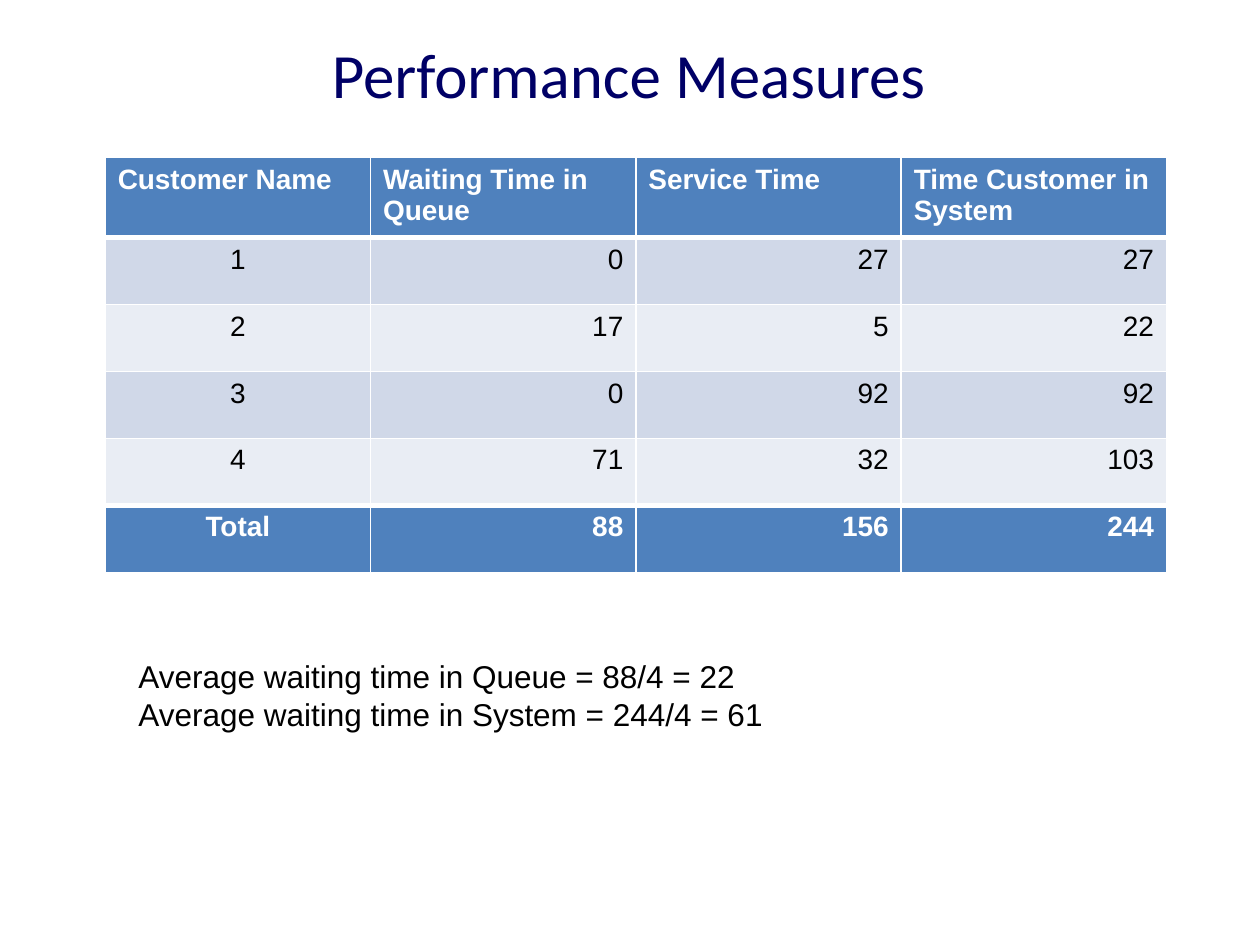
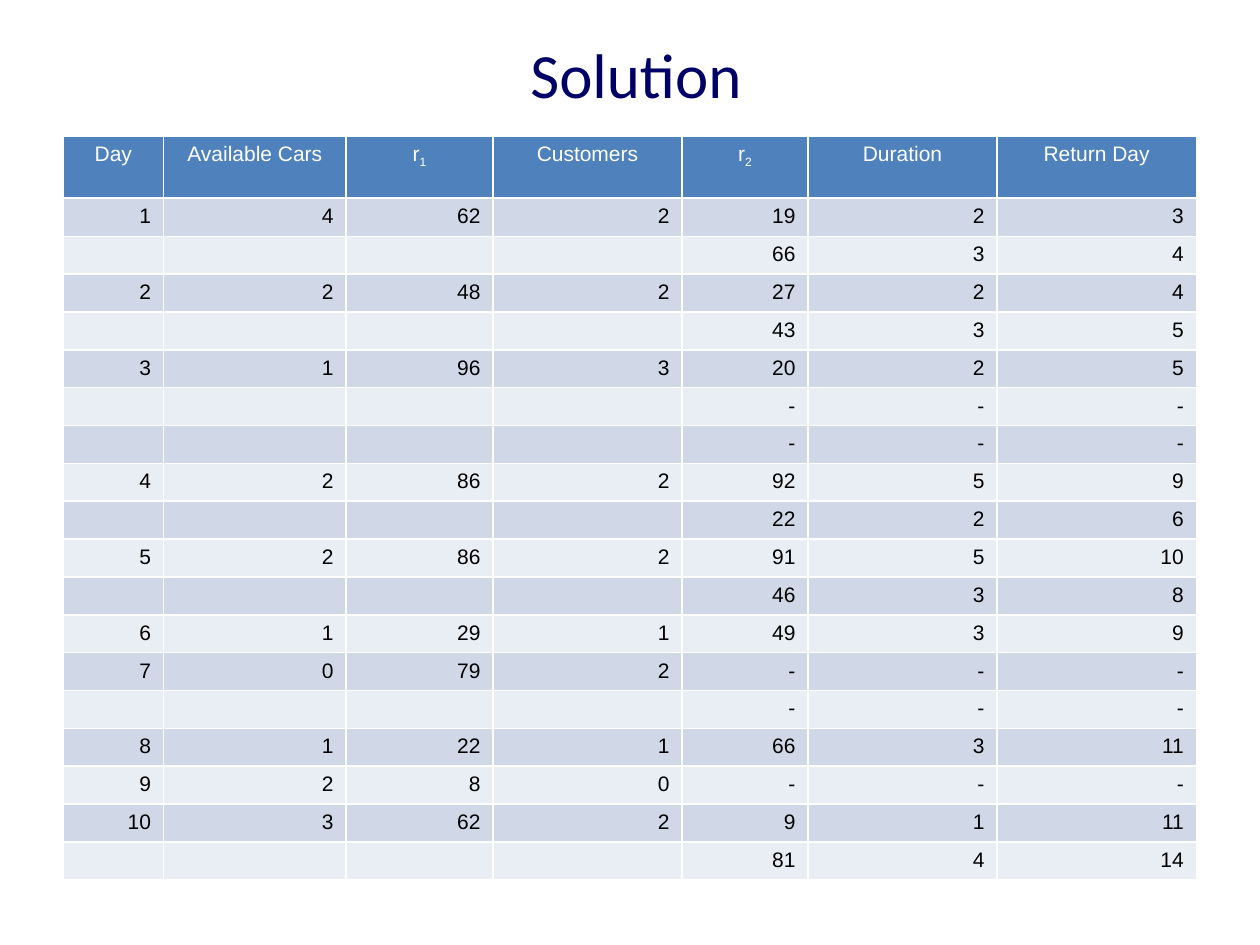
"""Build two slides of simulation results: queue performance and car rental."""
from lxml import etree
from pptx import Presentation
from pptx.dml.color import RGBColor
from pptx.enum.text import MSO_ANCHOR, MSO_AUTO_SIZE, PP_ALIGN
from pptx.oxml.ns import qn
from pptx.util import Cm, Pt

LEFT, CENTER, RIGHT = PP_ALIGN.LEFT, PP_ALIGN.CENTER, PP_ALIGN.RIGHT
MIDDLE = MSO_ANCHOR.MIDDLE
GROW = MSO_AUTO_SIZE.SHAPE_TO_FIT_TEXT


class Theme:
    """Colours, fonts, line widths and type sizes."""
    navy, black, white = "000066", "000000", "FFFFFF"
    blue, bands = "4F81BD", ("D0D8E8", "E9EDF4")
    thin, thick = Pt(1), Pt(3)
    title = {"size": Pt(36), "name": "Calibri", "color": navy}
    note = {"size": Pt(18), "name": "Arial", "color": black}
    cell = {"size": Pt(16), "name": "Arial", "color": black}
    strong = {**cell, "bold": True, "color": white}
    small = {**cell, "size": Pt(12)}
    small_head = {**small, "color": white}


QUEUE_TITLE = "Performance Measures "
QUEUE_HEAD = ["Customer Name", "Waiting Time in Queue", "Service Time",
              "Time Customer in System"]
QUEUE_ROWS = [
    (1, 0, 27, 27),
    (2, 17, 5, 22),
    (3, 0, 92, 92),
    (4, 71, 32, 103),
]
QUEUE_TOTAL = ("Total", 88, 156, 244)
QUEUE_NOTES = ["Average waiting time in Queue = 88/4 = 22",
               "Average waiting time in System = 244/4 = 61"]

CARS_TITLE = "Solution"
CARS_HEAD = ["Day", "Available Cars", ("r", "1"), "Customers", ("r", "2"),
             "Duration", "Return Day"]
NO_CAR = ("-", "-", "-")
CARS_DAYS = [
    ((1, 4, 62, 2), [(19, 2, 3), (66, 3, 4)]),
    ((2, 2, 48, 2), [(27, 2, 4), (43, 3, 5)]),
    ((3, 1, 96, 3), [(20, 2, 5), NO_CAR, NO_CAR]),
    ((4, 2, 86, 2), [(92, 5, 9), (22, 2, 6)]),
    ((5, 2, 86, 2), [(91, 5, 10), (46, 3, 8)]),
    ((6, 1, 29, 1), [(49, 3, 9)]),
    ((7, 0, 79, 2), [NO_CAR, NO_CAR]),
    ((8, 1, 22, 1), [(66, 3, 11)]),
    ((9, 2, 8, 0), [NO_CAR]),
    ((10, 3, 62, 2), [(9, 1, 11), (81, 4, 14)]),
]
CARS_COLS = [2.03, 3.68, 2.96, 3.81, 2.54, 3.81, 4.02]


def add_text(p, text, fmt, align=LEFT):
    """Write text into a paragraph; a pair is a base and its subscript."""
    p.alignment = align
    parts = text if isinstance(text, tuple) else (str(text),)
    for i, part in enumerate(parts):
        if not part:
            etree.SubElement(p._p, qn("a:endParaRPr"), sz=str(int(fmt["size"].pt * 100)))
            continue
        r = p.add_run()
        r.text = part
        for key, value in fmt.items():
            if key == "color":
                r.font.color.rgb = RGBColor.from_string(value)
            else:
                setattr(r.font, key, value)
        if i:
            r.font._element.set("baseline", "-25000")


def add_box(s, box, lines, fmt, align=LEFT, **frame):
    """Add a text box with one paragraph per line."""
    tf = s.shapes.add_textbox(*map(Cm, box)).text_frame
    for key, value in frame.items():
        setattr(tf, key, value)
    for i, line in enumerate(lines):
        add_text(tf.add_paragraph() if i else tf.paragraphs[0], line, fmt, align)


def add_slide(prs, title):
    """Add a blank slide with its title."""
    s = prs.slides.add_slide(prs.slide_layouts[6])
    add_box(s, (1.07, 0.43, 23.5, 2.11), [title], Theme.title, CENTER,
            word_wrap=True, vertical_anchor=MIDDLE)
    return s


def style_cell(cell, fill, top, bottom):
    """Give a cell white borders and a solid fill."""
    tc_pr = cell._tc.get_or_add_tcPr()
    for side, width in zip("LRTB", (Theme.thin, Theme.thin, top, bottom)):
        ln = etree.SubElement(tc_pr, qn(f"a:ln{side}"), w=str(int(width)))
        solid = etree.SubElement(ln, qn("a:solidFill"))
        etree.SubElement(solid, qn("a:srgbClr"), val=Theme.white)
    cell.fill.solid()
    cell.fill.fore_color.rgb = RGBColor.from_string(fill)


def add_grid(s, left, top, cols, row_height, rows):
    """Add a table; each row is (values, format, alignments, fill)."""
    table = s.shapes.add_table(len(rows), len(cols), Cm(left), Cm(top), Cm(sum(cols)),
                               Cm(row_height * len(rows))).table
    table.first_row = table.horz_banding = False
    for col, width in zip(table.columns, cols):
        col.width = Cm(width)
    accent = [fill == Theme.blue for *_, fill in rows]
    for i, (values, fmt, aligns, fill) in enumerate(rows):
        table.rows[i].height = Cm(row_height)
        above = Theme.thick if i and accent[i] != accent[i - 1] else Theme.thin
        below = Theme.thick if accent[i] != any(accent[i + 1:i + 2]) and (
            accent[i] and i == 0 or i + 1 < len(rows)) else Theme.thin
        for cell, value, align in zip(table.rows[i].cells, values, aligns):
            style_cell(cell, fill, above, below)
            add_text(cell.text_frame.paragraphs[0], value, fmt, align)


def band_rows(rows, fmt, aligns):
    """Pair each data row with its format and alternating fill."""
    return [(row, fmt, aligns, Theme.bands[i % 2]) for i, row in enumerate(rows)]


def queue_slide(prs):
    """Add the performance table and the averages."""
    s = add_slide(prs, QUEUE_TITLE)
    aligns = [CENTER] + [RIGHT] * 3
    rows = [(QUEUE_HEAD, Theme.strong, [LEFT] * 4, Theme.blue),
            *band_rows(QUEUE_ROWS, Theme.cell, aligns),
            (QUEUE_TOTAL, Theme.strong, aligns, Theme.blue)]
    add_grid(s, 2.12, 3.18, [5.35] * 4, 1.35, rows)
    add_box(s, (2.54, 13.12, 13.2, 1.8), QUEUE_NOTES, Theme.note,
            word_wrap=False, auto_size=GROW)


def cars_slide(prs):
    """Add the rental table under its separate header."""
    s = add_slide(prs, CARS_TITLE)
    n = len(CARS_COLS)
    rows = [(day if i == 0 else ("",) * len(day)) + rental
            for day, rentals in CARS_DAYS for i, rental in enumerate(rentals)]
    head = [(CARS_HEAD, Theme.small_head, [CENTER] * n, Theme.blue)]
    add_grid(s, 1.27, 2.74, CARS_COLS, 1.27, head)
    add_grid(s, 1.27, 4, CARS_COLS, 0.74, band_rows(rows, Theme.small, [RIGHT] * n))


def main():
    """Build and save the deck."""
    prs = Presentation()
    prs.slide_width, prs.slide_height = Cm(25.4), Cm(19.05)
    queue_slide(prs)
    cars_slide(prs)
    prs.save("out.pptx")


if __name__ == "__main__":
    main()
